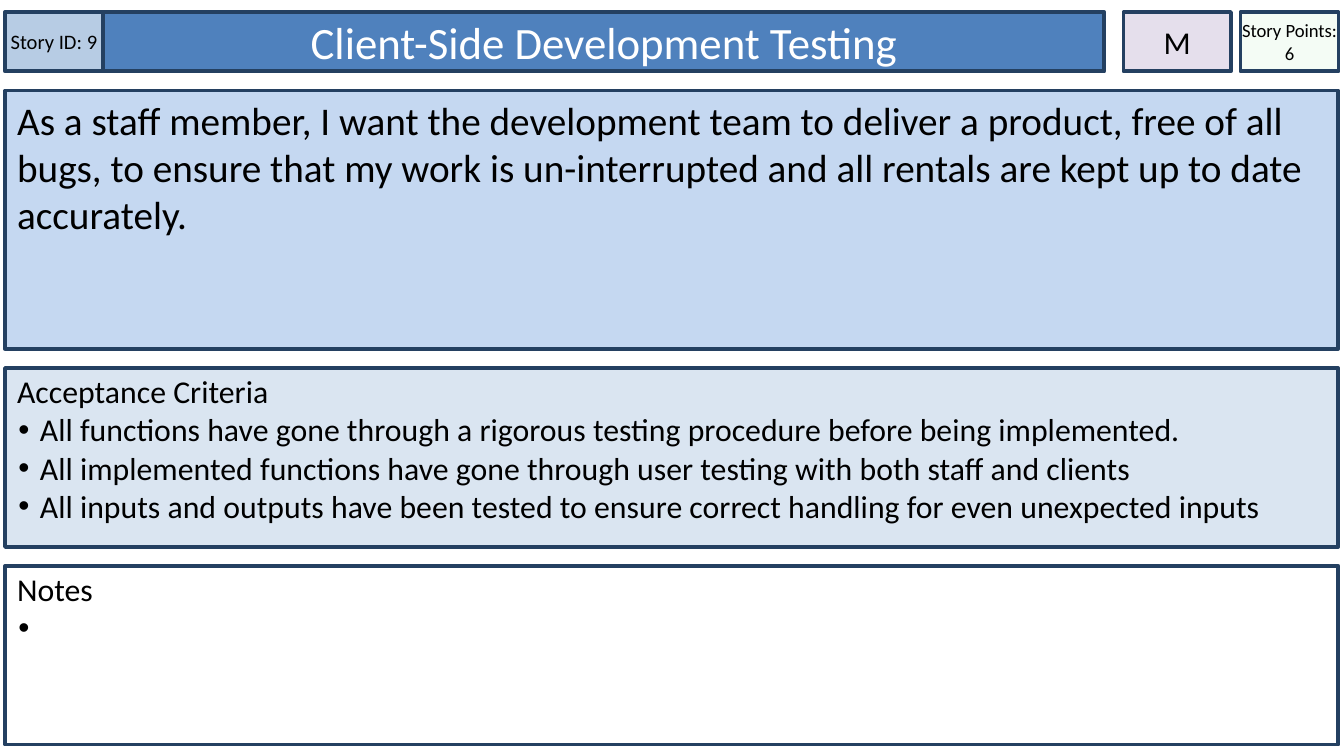
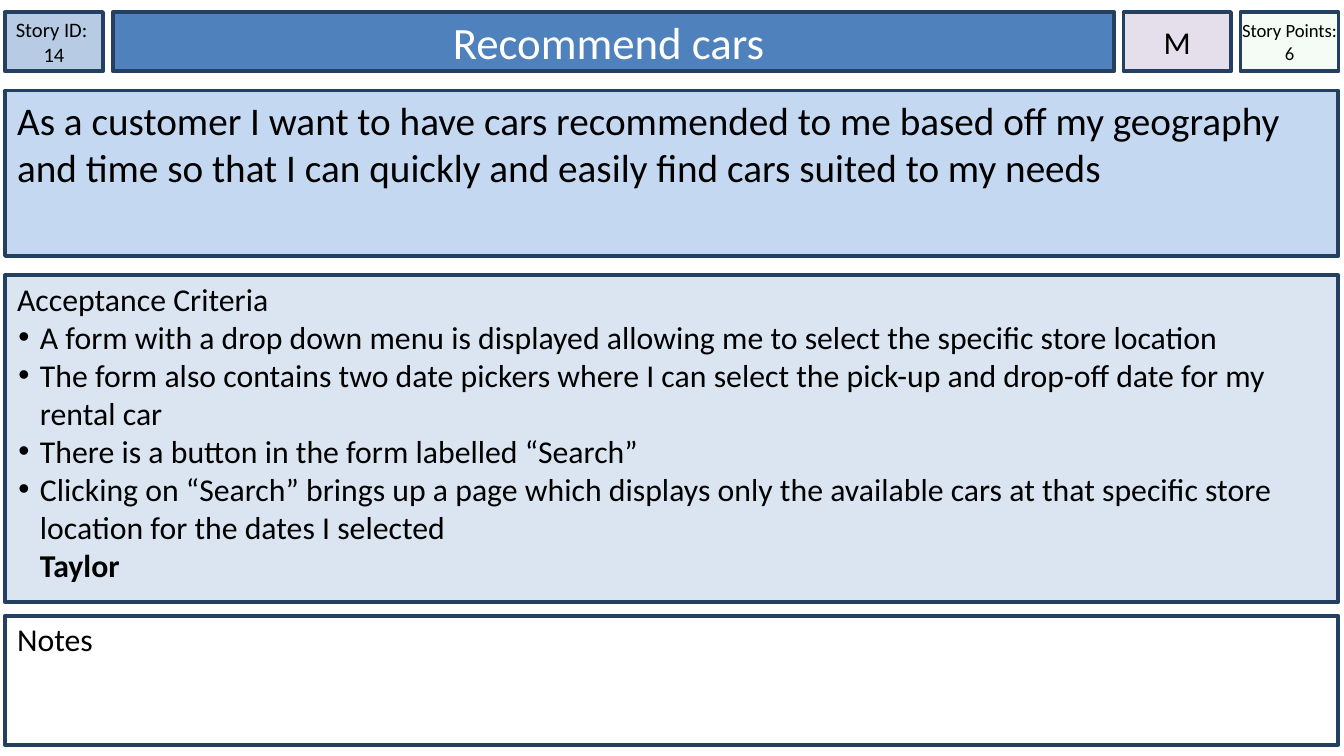
from pptx import Presentation
from pptx.dml.color import RGBColor
from pptx.enum.shapes import MSO_SHAPE
from pptx.enum.text import MSO_ANCHOR, PP_ALIGN
from pptx.oxml.ns import qn
from pptx.util import Inches, Pt
from lxml.etree import SubElement

COLORS = {
    "border": "244061", "id": "B7CCE4", "title": "4F81BD", "story": "C5D8F1",
    "criteria": "DAE5F1", "points": "CCF0CD", "priority": "E5DFEC",
    "notes": "FFFFFF", "black": "000000", "white": "FFFFFF",
}

# All positions are percentages of the slide's width or height.
LEFT, WIDTH = 0.37, 99.2
HEAD_TOP, HEAD_HEIGHT = 1.6, 7.85
BODY_TOP, BODY_BOTTOM = 11.98, 98.5

CARDS = [
    {
        "id": ["Story ID: 9"], "title": "Client-Side Development Testing", "title_left": 7.67,
        "story": "As a staff member, I want the development team to deliver a product, free of all "
                 "bugs, to ensure that my work is un-interrupted and all rentals are kept up to date "
                 "accurately.",
        "criteria": [
            "All functions have gone through a rigorous testing procedure before being implemented.",
            "All implemented functions have gone through user testing with both staff and clients",
            "All inputs and outputs have been tested to ensure correct handling for even unexpected inputs",
        ],
        "author": None, "notes": [" "],
        "heights": (34.16, 23.67), "gaps": (2.55, 2.5),
    },
    {
        "id": ["Story ID: ", "14"], "title": "Recommend cars ", "title_left": 8.4,
        "story": "As a customer I want to have cars recommended to me based off my geography and time "
                 "so that I can quickly and easily find cars suited to my needs",
        "criteria": [
            "A form with a drop down menu is displayed allowing me to select the specific store location",
            "The form also contains two date pickers where I can select the pick-up and drop-off date "
            "for my rental car",
            "There is a button in the form labelled “Search”",
            "Clicking on “Search” brings up a page which displays only the available cars at that "
            "specific store location for the dates I selected",
        ],
        "author": "Taylor", "notes": [],
        "heights": (21.89, 43.24), "gaps": (2.55, 1.8),
    },
]

prs = Presentation()
prs.slide_width = Inches(10)
prs.slide_height = prs.slide_width * 9 // 16


def add_box(s, fill, x, y, w, h, header=False):
    """Add a bordered panel; header panels centre their text vertically."""
    px, py = prs.slide_width / 100, prs.slide_height / 100
    sp = s.shapes.add_shape(MSO_SHAPE.RECTANGLE, int(x * px), int(y * py), int(w * px), int(h * py))
    sp.shadow.inherit = False
    sp.fill.solid()
    sp.fill.fore_color.rgb = RGBColor.from_string(COLORS[fill])
    sp.line.color.rgb = RGBColor.from_string(COLORS["border"])
    sp.line.width = Pt(2)
    tf = sp.text_frame
    tf.word_wrap = True
    tf.vertical_anchor = MSO_ANCHOR.MIDDLE if header else MSO_ANCHOR.TOP
    tf.margin_left = tf.margin_right = Inches(0 if header and fill != "title" else 0.09)
    tf.margin_top = Inches(0.03 if fill in ("criteria", "notes") else 0.04)
    tf.margin_bottom = Inches(0.04)
    return sp


def add_text(sp, text, size=17, color="black", align=PP_ALIGN.LEFT, bold=False,
             indent=0, bullet=False):
    """Write one paragraph, using the empty first one if it is still free."""
    tf = sp.text_frame
    p = tf.add_paragraph() if tf.paragraphs[0].runs else tf.paragraphs[0]
    p.alignment = align
    if indent:
        pPr = p._p.get_or_add_pPr()
        pPr.set("marL", str(Inches(indent)))
        pPr.set("indent", str(Inches(-0.16 if bullet else 0)))
        if bullet:
            clr = SubElement(pPr, qn("a:buClr"))
            SubElement(clr, qn("a:srgbClr"), val=COLORS["black"])
            SubElement(pPr, qn("a:buFont"), typeface="Arial")
            SubElement(pPr, qn("a:buChar"), char="•")
    r = p.add_run()
    r.text = text
    r.font.name = "Calibri"
    r.font.size = Pt(size)
    r.font.bold = bold
    r.font.color.rgb = RGBColor.from_string(COLORS[color])


for card in CARDS:
    s = prs.slides.add_slide(prs.slide_layouts[6])

    # Header row: id, title, points, priority
    header = [
        ("id", LEFT, 7.3, card["id"], 11, "black"),
        ("title", card["title_left"], 74.5, [card["title"]], 24, "white"),
        ("points", 92.3, 7.3, ["Story Points: 6"], 10, "black"),
        ("priority", 83.6, 8, ["M"], 17, "black"),
    ]
    for name, x, w, lines, size, color in header:
        sp = add_box(s, name, x, HEAD_TOP, w, HEAD_HEIGHT, header=True)
        for line in lines:
            add_text(sp, line, size=size, color=color, align=PP_ALIGN.CENTER)
        if name == "points":
            rgb = sp._element.spPr.find(qn("a:solidFill")).find(qn("a:srgbClr"))
            SubElement(rgb, qn("a:alpha"), val="20000")

    # Body panels stacked down the slide; notes take what is left
    story_h, criteria_h = card["heights"]
    criteria_top = BODY_TOP + story_h + card["gaps"][0]
    notes_top = criteria_top + criteria_h + card["gaps"][1]

    sp = add_box(s, "story", LEFT, BODY_TOP, WIDTH, story_h)
    add_text(sp, card["story"], size=21)

    panels = [
        ("criteria", "Acceptance Criteria", criteria_top, criteria_h, card["author"]),
        ("notes", "Notes", notes_top, BODY_BOTTOM - notes_top, None),
    ]
    for name, heading, y, h, author in panels:
        sp = add_box(s, name, LEFT, y, WIDTH, h)
        add_text(sp, heading)
        for item in card[name]:
            add_text(sp, item, indent=0.17, bullet=True)
        if author:
            add_text(sp, author, indent=0.17, bold=True)

prs.save("out.pptx")
